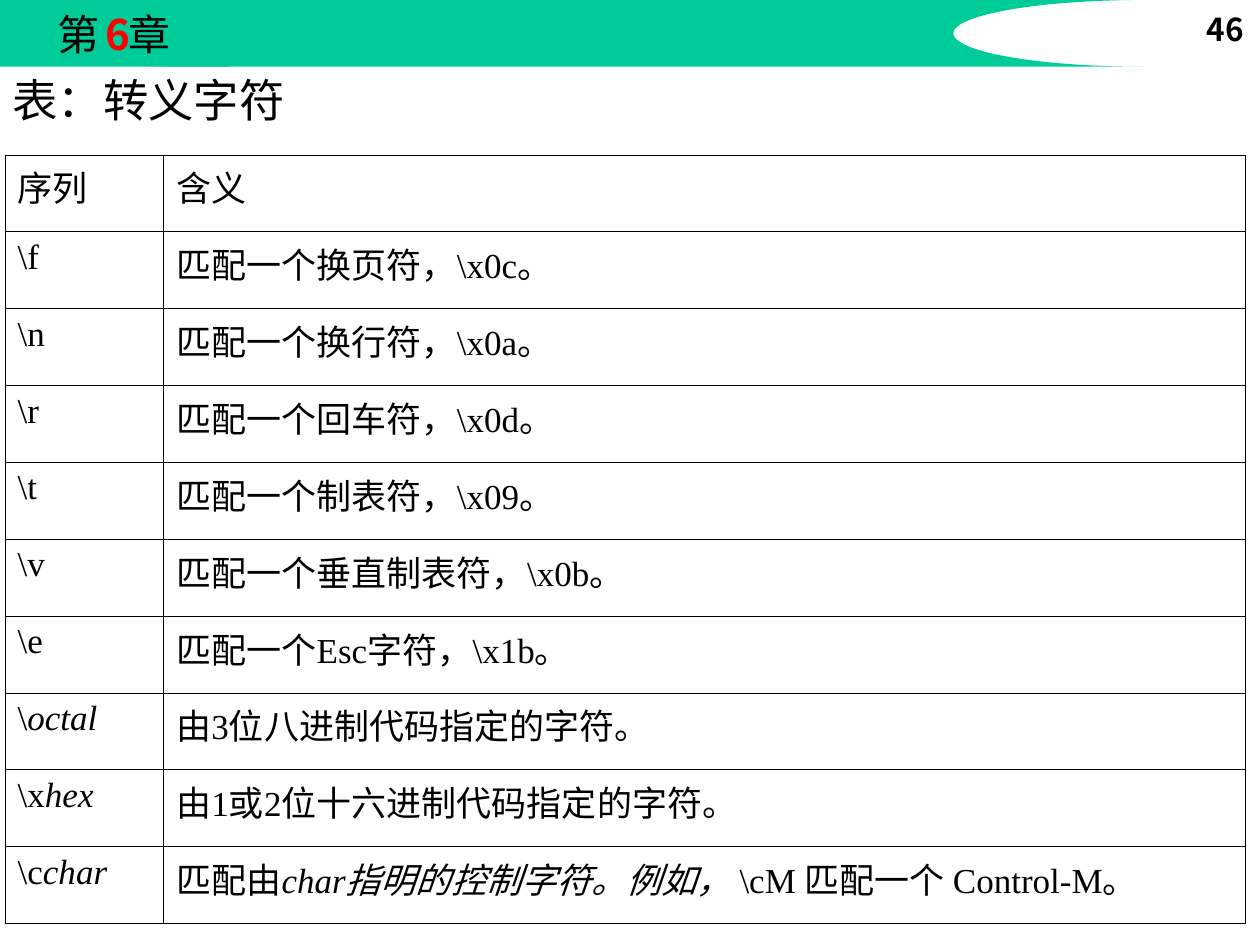
"""Build the slide with the table of escape characters."""
from lxml import etree
from pptx import Presentation
from pptx import util as u
from pptx.dml.color import RGBColor
from pptx.enum import shapes, text
from pptx.oxml.ns import qn

GREEN, BLACK, RED = "00CC99", "000000", "FF0000"
SERIF, SANS, CJK = "Times New Roman", "Noto Sans CJK JP", "Noto Sans CJK SC"
TITLE = "表：转义字符"
ROWS = [
    (["序列"], ["含义"]),
    ([r"\f"], [r"匹配一个换页符，\x0c。"]),
    ([r"\n"], [r"匹配一个换行符，\x0a。"]),
    ([r"\r"], [r"匹配一个回车符，\x0d。"]),
    ([r"\t"], [r"匹配一个制表符，\x09。"]),
    ([r"\v"], [r"匹配一个垂直制表符，\x0b。"]),
    ([r"\e"], [r"匹配一个Esc字符，\x1b。"]),
    (["\\", "octal"], ["由3位八进制代码指定的字符。"]),
    ([r"\x", "hex"], ["由1或2位十六进制代码指定的字符。"]),
    ([r"\c", "char"], ["匹配由", "char指明的控制字符。例如， ", r"\cM 匹配一个 Control-M。"]),
]
COL_WIDTHS = (1.26, 8.58)
ROW_HEIGHT = 0.61


def rgb(color):
    return RGBColor.from_string(color)


def box(*lengths):
    return [u.Inches(n) for n in lengths]


def add_text(p, string, size=20, font=SERIF, color=BLACK, bold=False, italic=False, spacing=None):
    r = p.add_run()
    r.text = string
    f = r.font
    f.size, f.name, f.bold, f.italic = u.Pt(size), font, bold, italic
    f.color.rgb = rgb(color)
    rpr = r._r.get_or_add_rPr()
    etree.SubElement(rpr, qn("a:ea"), typeface=CJK if font == SERIF else font)
    if spacing:
        rpr.set("spc", str(spacing * 100))


def add_band(s, kind, width):
    sp = s.shapes.add_shape(kind, *box(0, 0, width, 0.53))
    sp.shadow.inherit = False
    sp.fill.solid()
    sp.fill.fore_color.rgb = rgb(GREEN)
    sp.line.fill.background()
    return sp


def add_borders(cell):
    pr = cell._tc.get_or_add_tcPr()
    for i, side in enumerate(("lnL", "lnR", "lnT", "lnB")):
        ln = etree.Element(qn("a:" + side), w=str(u.Pt(0.45)))
        fill = etree.SubElement(ln, qn("a:solidFill"))
        etree.SubElement(fill, qn("a:srgbClr"), val=BLACK)
        pr.insert(i, ln)


def add_header(s):
    add_band(s, shapes.MSO_SHAPE.FLOWCHART_STORED_DATA, 9.08)
    tf = add_band(s, shapes.MSO_SHAPE.RECTANGLE, 1.81).text_frame
    tf.word_wrap = False
    tf.vertical_anchor = text.MSO_ANCHOR.MIDDLE
    p = tf.paragraphs[0]
    p.alignment = text.PP_ALIGN.CENTER
    for string, spacing in (("第", None), (" ", 11), ("章", None)):
        add_text(p, string, size=24, font=SANS, spacing=spacing)

    tf = s.shapes.add_textbox(*box(9.14, 0.03, 0.83, 0.5)).text_frame
    tf.word_wrap = True
    tf.paragraphs[0].alignment = text.PP_ALIGN.RIGHT
    add_text(tf.paragraphs[0], "46", size=18, font=CJK, bold=True)

    tf = s.shapes.add_textbox(*box(0.84, 0.07, 0.24, 0.4)).text_frame
    tf.margin_left = tf.margin_right = tf.margin_top = tf.margin_bottom = 0
    tf.word_wrap = True
    add_text(tf.paragraphs[0], "6", size=24, font=SANS, color=RED, bold=True)


def add_title(s):
    sp = s.shapes.title
    sp.left, sp.top, sp.width, sp.height = box(0, 0.52, 4.83, 0.55)
    tf = sp.text_frame
    tf.auto_size = text.MSO_AUTO_SIZE.NONE
    tf.vertical_anchor = text.MSO_ANCHOR.TOP
    tf.paragraphs[0].alignment = text.PP_ALIGN.LEFT
    add_text(tf.paragraphs[0], TITLE, size=25.9)


def add_escape_table(s):
    size = box(0.04, 1.23, sum(COL_WIDTHS), ROW_HEIGHT * len(ROWS))
    table = s.shapes.add_table(len(ROWS), len(COL_WIDTHS), *size).table
    table.first_row = table.horz_banding = False
    for col, width in zip(table.columns, COL_WIDTHS):
        col.width = u.Inches(width)
    for row, cells in zip(table.rows, ROWS):
        row.height = u.Inches(ROW_HEIGHT)
        for cell, runs in zip(row.cells, cells):
            cell.fill.background()
            add_borders(cell)
            for i, string in enumerate(runs):
                add_text(cell.text_frame.paragraphs[0], string, italic=i % 2 == 1)


def main():
    prs = Presentation()
    prs.slide_width, prs.slide_height = box(10, 7.5)
    s = prs.slides.add_slide(prs.slide_layouts[5])
    add_header(s)
    add_title(s)
    add_escape_table(s)
    prs.save("out.pptx")


if __name__ == "__main__":
    main()
